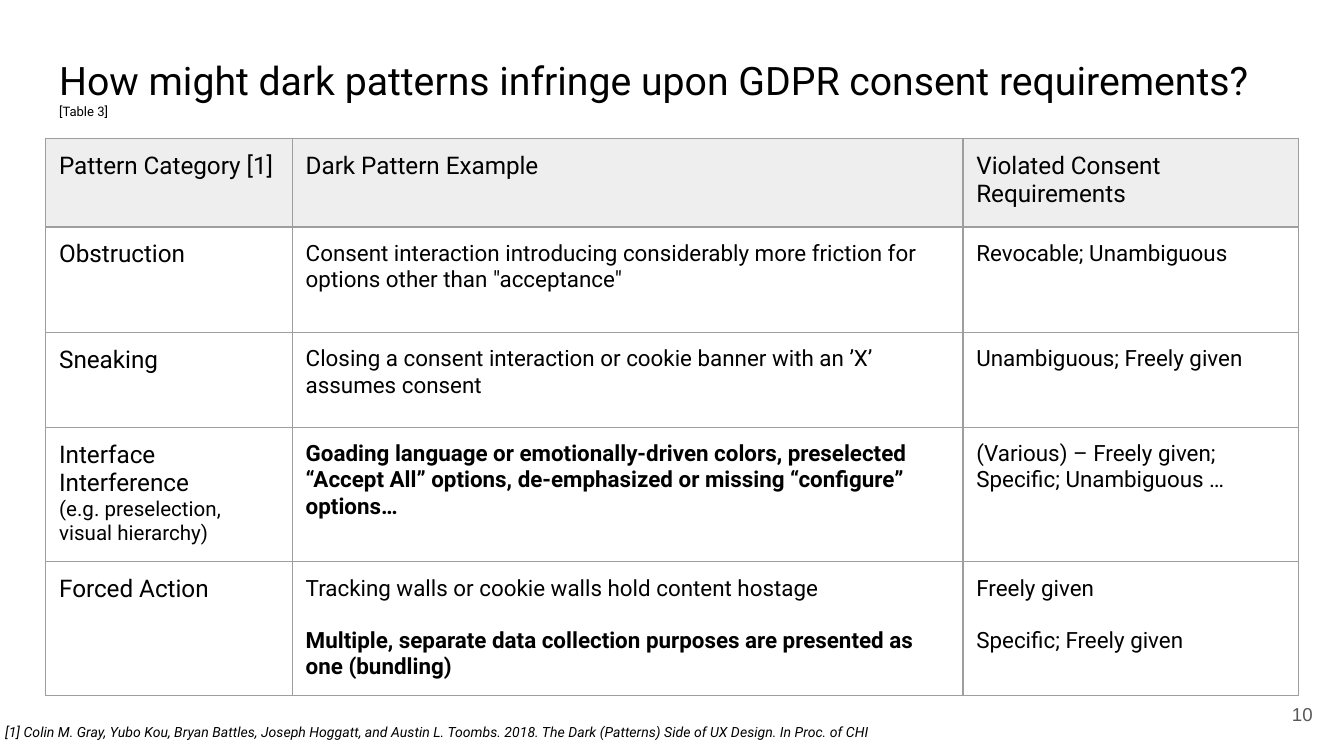
from lxml.etree import SubElement
from pptx import Presentation
from pptx.dml.color import RGBColor
from pptx.enum.text import MSO_ANCHOR as ANCHOR, MSO_AUTO_SIZE as AUTO, PP_ALIGN as ALIGN
from pptx.oxml import parse_xml
from pptx.oxml.ns import nsdecls, qn
from pptx.util import Inches, Pt

prs = Presentation()
prs.slide_width, prs.slide_height = Inches(10), Inches(10) * 9 // 16
U = prs.slide_width // 100
s = prs.slides.add_slide(prs.slide_layouts[5])


def color(target, value):
    target.rgb = RGBColor.from_string(value)


def write(tf, paras, anchor=ANCHOR.TOP, align=ALIGN.LEFT, gap=0, ink="000000"):
    for side in ("left", "top", "right", "bottom"):
        setattr(tf, f"margin_{side}", U)
    tf.word_wrap = True
    for i, runs in enumerate(paras):
        p = tf.add_paragraph() if i else tf.paragraphs[0]
        p.alignment = align
        p.space_before = Pt(gap if i else 0)
        for text, size, extra in runs:
            r = p.add_run()
            r.text = text
            fmt = {"name": "Roboto", "size": Pt(size), "bold": False, **extra}
            for key, value in fmt.items():
                setattr(r.font, key, value)
            color(r.font.color, ink)
    tf.vertical_anchor = anchor


title = s.shapes.title
place = {"left": 3.4, "top": 3.2, "width": 93.2, "height": 6.3}
for key, value in place.items():
    setattr(title, key, int(value * U))
title.text_frame.auto_size = AUTO.NONE
write(title.text_frame, [[
    ("How might dark patterns infringe upon GDPR consent requirements? ", 21, {}),
    ("[Table 3]", 7, {}),
]])

notes = [
    ((92.65, 51, 6, 4.3), ("10", 10, {"name": "Arial"}),
     {"anchor": ANCHOR.MIDDLE, "align": ALIGN.RIGHT, "ink": "595959"}),
    ((-0.6, 53.2, 91.9, 3.3),
     ("[1] Colin M. Gray, Yubo Kou, Bryan Battles, Joseph Hoggatt, and Austin L. Toombs. 2018. "
      "The Dark (Patterns) Side of UX Design. In Proc. of CHI", 7.5, {"italic": True}), {}),
]
for at, run, fmt in notes:
    sp = s.shapes.add_textbox(*(int(v * U) for v in at))
    write(sp.text_frame, [[run]], **fmt)

bold = {"bold": True}
rows = [
    [[("Pattern Category [1]", 13, {})], [("Dark Pattern Example", 13, {})],
     [("Violated Consent Requirements", 13, {})]],
    [[("Obstruction", 13, {})],
     [("Consent interaction introducing considerably more friction for options other than \"acceptance\"", 12, {})],
     [("Revocable; Unambiguous", 12, {})]],
    [[("Sneaking", 13, {})],
     [("Closing a consent interaction or cookie banner with an ’X’ assumes consent", 12, {})],
     [("Unambiguous; Freely given", 12, {})]],
    [[("Interface Interference", 13, {}), ("(e.g. preselection, visual hierarchy)", 11, {})],
     [("Goading language or emotionally-driven colors, preselected “Accept All” options, "
       "de-emphasized or missing “configure” options…", 12, bold)],
     [("(Various) – Freely given; Specific; Unambiguous …", 12, {})]],
    [[("Forced Action", 13, {})],
     [("Tracking walls or cookie walls hold content hostage", 12, {}),
      ("Multiple, separate data collection purposes are presented as one (bundling)", 12, bold)],
     [("Freely given", 12, {}), ("Specific; Freely given", 12, {})]],
]
widths = [18.35, 49.9, 24.95]
heights = [6.6, 7.85, 7.05, 9.1, 9.1]
size = [int(sum(v) * U) for v in (widths, heights)]
tb = s.shapes.add_table(len(rows), len(widths), int(3.4 * U), int(10.3 * U), *size).table
tb.first_row = tb.horz_banding = False
for col, w in zip(tb.columns, widths):
    col.width = int(w * U)
for i, (row, h) in enumerate(zip(rows, heights)):
    tb.rows[i].height = int(h * U)
    for j, paras in enumerate(row):
        cell = tb.cell(i, j)
        write(cell.text_frame, [[run] for run in paras], gap=14 if i == len(rows) - 1 else 0)
        for side in ("left", "top", "right", "bottom"):
            setattr(cell, f"margin_{side}", U)
        pr = cell._tc.get_or_add_tcPr()
        for side in "LRTB":
            ln = parse_xml(f'<a:ln{side} {nsdecls("a")} w="{Pt(0.75)}"/>')
            SubElement(SubElement(ln, qn("a:solidFill")), qn("a:srgbClr"), val="9E9E9E")
            pr.append(ln)
        if i:
            cell.fill.background()
        else:
            cell.fill.solid()
            color(cell.fill.fore_color, "EEEEEE")

prs.save("out.pptx")
